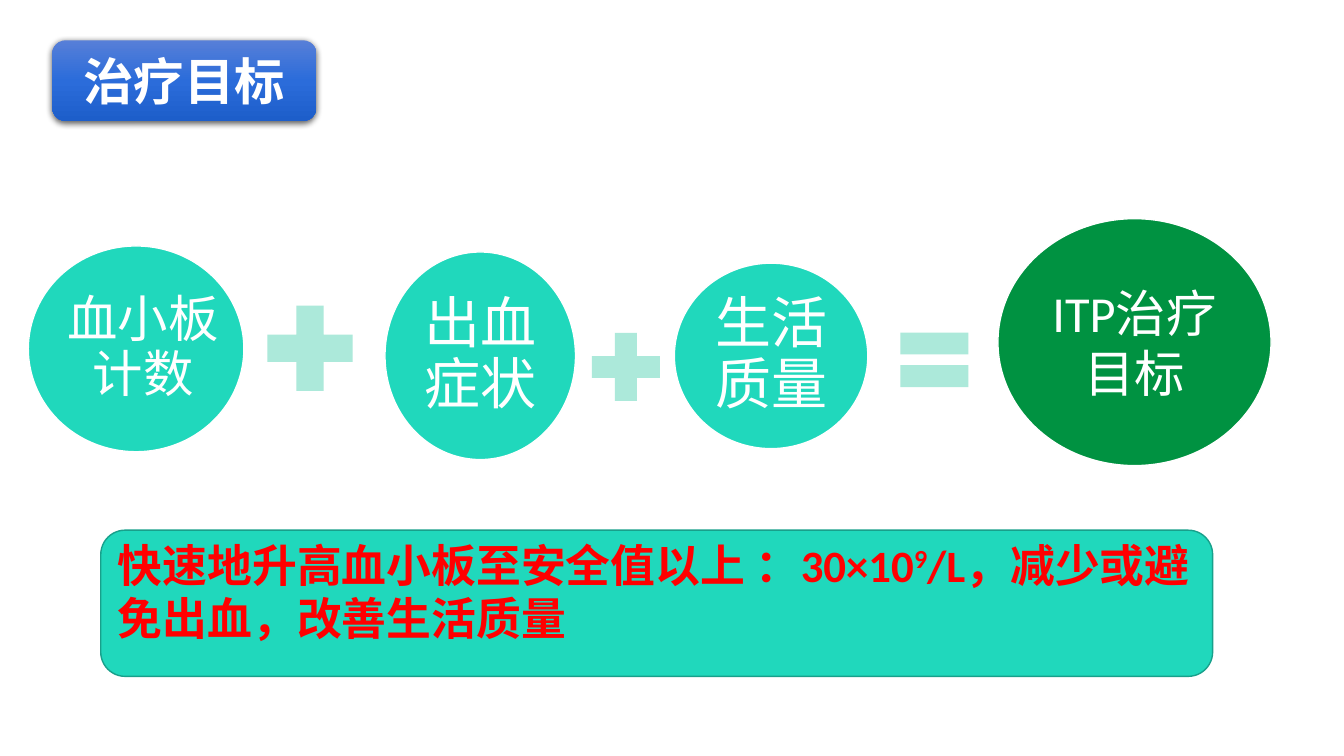
from copy import deepcopy
from dataclasses import dataclass
from typing import Optional

from pptx import Presentation
from pptx.dml.color import RGBColor
from pptx.enum.shapes import MSO_SHAPE
from pptx.enum.text import MSO_ANCHOR, PP_ALIGN
from pptx.oxml import parse_xml
from pptx.oxml.ns import nsdecls, qn
from pptx.util import Pt

ROUND, OVAL = MSO_SHAPE.ROUNDED_RECTANGLE, MSO_SHAPE.OVAL
PLUS, EQUAL = MSO_SHAPE.MATH_PLUS, MSO_SHAPE.MATH_EQUAL
TOP, MIDDLE = MSO_ANCHOR.TOP, MSO_ANCHOR.MIDDLE
LEFT, CENTER = PP_ALIGN.LEFT, PP_ALIGN.CENTER


@dataclass(frozen=True)
class Theme:
    white: str = "FFFFFF"
    teal: str = "20D8BC"
    edge: str = "18A08B"
    mint: str = "ACE9DA"
    green: str = "009241"
    red: str = "FF0000"
    blues: tuple = ((0, "577FD8"), (0.5, "2B6CDA"), (1, "1D5ECA"))
    font: str = "Calibri"
    head: str = "DejaVu Sans"
    large: float = 40
    medium: float = 36
    small: float = 32


@dataclass(frozen=True)
class Box:
    left: float
    top: float
    width: float
    height: float

    def place(self) -> tuple:
        return Pt(self.left), Pt(self.top), Pt(self.width), Pt(self.height)


@dataclass(frozen=True)
class Term:
    text: str
    box: Box
    fill: str
    size: float
    inset: float = 4.3
    space: float = 0.9
    label: Optional[Box] = None  # text area, where wider than the circle allows


@dataclass(frozen=True)
class Sign:
    kind: MSO_SHAPE
    box: Box


THEME = Theme()

TERMS = (
    Term("血小板计数", Box(20.2, 175.7, 154, 147), THEME.teal, THEME.medium,
         label=Box(35.3, 197.3, 133.9, 103.7)),
    Term("出血症状", Box(275, 180, 136.1, 148.3), THEME.teal, THEME.large),
    Term("生活质量", Box(481.7, 188, 138.2, 132.5), THEME.teal, THEME.large),
    Term("ITP治疗目标", Box(712.8, 156.2, 195.1, 176.4), THEME.green,
         THEME.medium, inset=3.6, space=1),
)
SIGNS = (
    Sign(PLUS, Box(180, 207.4, 82.8, 82.8)),
    Sign(PLUS, Box(414, 229, 66.2, 66.2)),
    Sign(EQUAL, Box(634.3, 223.9, 66.2, 66.2)),
)
TITLE = Box(37.4, 28.8, 188.6, 57.6)
GOAL = Box(72, 378.7, 794.2, 104.4)


def write(shape, *parts: str, size: float, color: str, font: str = THEME.font,
          bold: bool = False, align=CENTER, anchor=MIDDLE, space: float = 1,
          insets: tuple = (7.2, 3.6, 7.2, 3.6)) -> None:
    """Fill a shape with one paragraph; every second part is superscript."""
    frame = shape.text_frame
    frame.word_wrap = True
    frame.vertical_anchor = anchor
    (frame.margin_left, frame.margin_top,
     frame.margin_right, frame.margin_bottom) = map(Pt, insets)
    para = frame.paragraphs[0]
    para.alignment = align
    para.line_spacing = space
    for index, part in enumerate(parts):
        run = para.add_run()
        run.text = part
        run.font.name = font
        run.font.size = Pt(size)
        run.font.bold = bold
        run.font.color.rgb = RGBColor.from_string(color)
        if index % 2:
            run.font._element.set("baseline", "30000")


def draw(slide, kind: MSO_SHAPE, box: Box, fill: Optional[str] = None,
         line: Optional[str] = None):
    shape = slide.shapes.add_shape(kind, *box.place())
    shape.shadow.inherit = False
    if fill:
        shape.fill.solid()
        shape.fill.fore_color.rgb = RGBColor.from_string(fill)
    if line:
        shape.line.color.rgb = RGBColor.from_string(line)
        shape.line.width = Pt(1)
    else:
        shape.line.fill.background()
    return shape


def shade(shape, stops: tuple) -> None:
    """Give a shape a three-stop downward gradient and a soft shadow."""
    fill = shape.fill
    fill.gradient()
    fill.gradient_angle = 270
    props = shape._element.spPr
    items = props.find(".//" + qn("a:gsLst"))
    items.insert(1, deepcopy(items[0]))
    for stop, (place, color) in zip(fill.gradient_stops, stops):
        stop.position = place
        stop.color.rgb = RGBColor.from_string(color)
    props.find(qn("a:effectLst")).append(parse_xml(
        f'<a:outerShdw {nsdecls("a")} blurRad="{Pt(4.5)}" dist="{Pt(1.5)}" '
        'dir="5400000" rotWithShape="0"><a:srgbClr val="000000">'
        '<a:alpha val="63000"/></a:srgbClr></a:outerShdw>'))


def add_term(slide, term: Term) -> None:
    shape = draw(slide, OVAL, term.box, term.fill, THEME.white)
    if term.label:
        shape = slide.shapes.add_textbox(*term.label.place())
    write(shape, term.text, size=term.size, color=THEME.white,
          space=term.space, insets=(term.inset,) * 4)


def main() -> None:
    deck = Presentation()
    deck.slide_width, deck.slide_height = Pt(960), Pt(540)
    slide = deck.slides.add_slide(deck.slide_layouts[6])

    title = draw(slide, ROUND, TITLE)
    shade(title, THEME.blues)
    write(title, "治疗目标", size=THEME.medium, color=THEME.white,
          font=THEME.head, bold=True)

    for term in TERMS:
        add_term(slide, term)
    for sign in SIGNS:
        draw(slide, sign.kind, sign.box, THEME.mint)

    goal = draw(slide, ROUND, GOAL, THEME.teal, THEME.edge)
    write(goal, "快速地升高血小板至安全值以上 ：30×10", "9",
          "/L，减少或避免出血，改善生活质量", size=THEME.small,
          color=THEME.red, bold=True, align=LEFT, anchor=TOP,
          insets=(7.2, 0, 7.2, 0))
    deck.save("out.pptx")


if __name__ == "__main__":
    main()
